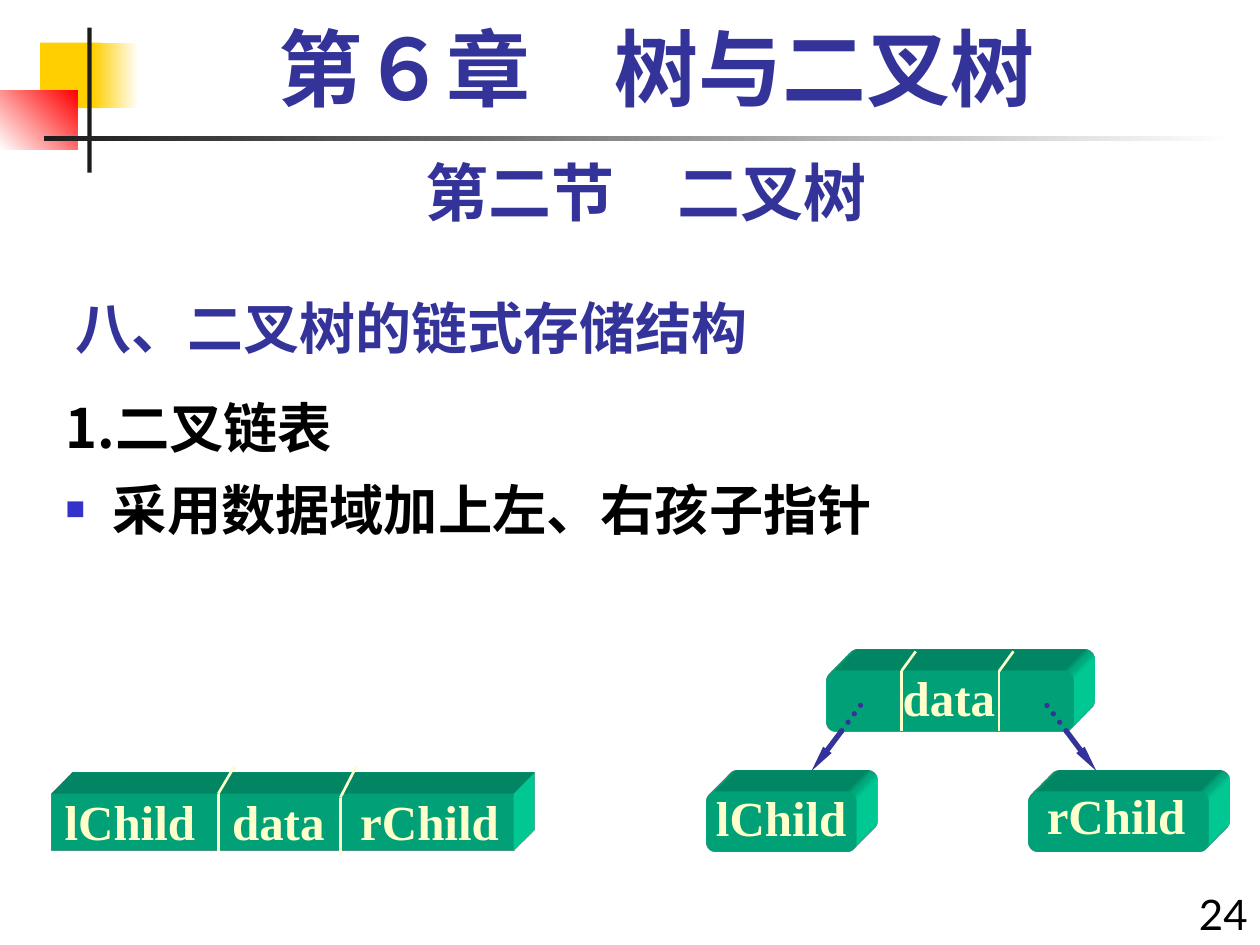
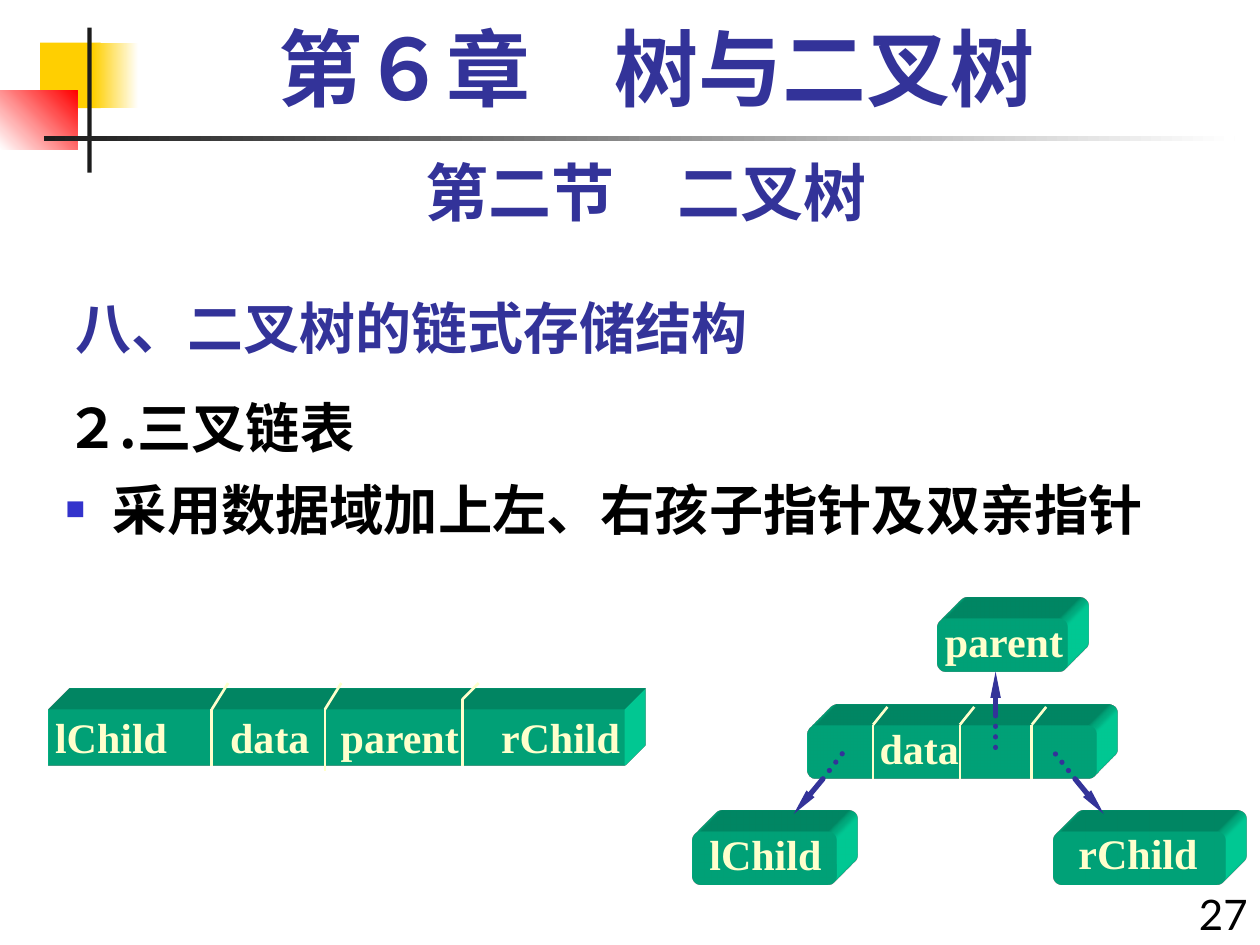
import pptx
import pptx.util
from lxml import etree
from pptx.dml.color import RGBColor
from pptx.enum.dml import MSO_LINE
from pptx.enum.shapes import MSO_CONNECTOR, MSO_SHAPE
from pptx.enum.text import MSO_ANCHOR, MSO_AUTO_SIZE, PP_ALIGN
from pptx.oxml.ns import qn
from pptx.util import Cm, Pt

# Colours
INDIGO = RGBColor(0x33, 0x33, 0x99)
BULLET_BLUE = RGBColor(0x33, 0x33, 0xCC)
YELLOW = RGBColor(0xFF, 0xCF, 0x01)
RED = RGBColor(0xFF, 0x00, 0x00)
CHARCOAL = RGBColor(0x1C, 0x1C, 0x1C)
BLACK = RGBColor(0x00, 0x00, 0x00)
WHITE = RGBColor(0xFF, 0xFF, 0xFF)
CREAM = RGBColor(0xFF, 0xFF, 0xCC)
GREEN = RGBColor(0x00, 0xE4, 0xA8)

# Fonts
HEADING_FONT = "Noto Sans CJK SC"
SECTION_FONT = "Lato"
SERIF_FONT = "Times New Roman"

EXTRUSION = Cm(1.2)

# Wording on both slides
CHAPTER = "第６章　树与二叉树"
SECTION = "第二节　二叉树"
TOPIC = "八、二叉树的链式存储结构"


def add_child(parent, tag, **attributes):
    child = etree.SubElement(parent, qn(tag))
    for key, value in attributes.items():
        child.set(key, str(value))
    return child


def add_run(paragraph, text, size, font, colour, bold=True):
    run = paragraph.add_run()
    run.text = text
    run.font.size = Pt(size)
    run.font.name = font
    run.font.bold = bold
    run.font.color.rgb = colour
    east_asian = SECTION_FONT if font == SERIF_FONT else font
    add_child(run.font._element, "a:ea", typeface=east_asian)


def add_text(slide, box, text, size, font, colour, align, bold=True):
    textbox = slide.shapes.add_textbox(*map(Cm, box))
    textbox.text_frame.word_wrap = True
    paragraph = textbox.text_frame.paragraphs[0]
    paragraph.alignment = align
    add_run(paragraph, text, size, font, colour, bold)
    return paragraph


def add_label(slide, text, centre, size):
    """Block label centred on a point."""
    width, height = 4, 1.2
    x, y = centre
    label = slide.shapes.add_textbox(
        Cm(x - width / 2), Cm(y - height / 2), Cm(width), Cm(height))
    frame = label.text_frame
    frame.word_wrap = False
    frame.vertical_anchor = MSO_ANCHOR.MIDDLE
    paragraph = frame.paragraphs[0]
    paragraph.alignment = PP_ALIGN.CENTER
    add_run(paragraph, text, size, SERIF_FONT, CREAM)


def paint(shape, colour):
    shape.shadow.inherit = False
    shape.fill.solid()
    shape.fill.fore_color.rgb = colour
    shape.line.fill.background()


def add_band(slide, box, colour, end_colour=None, angle=0):
    band = slide.shapes.add_shape(MSO_SHAPE.RECTANGLE, *map(Cm, box))
    paint(band, colour)
    if end_colour is not None:
        band.fill.gradient()
        band.fill.gradient_angle = angle
        for stop, stop_colour in zip(band.fill.gradient_stops, (colour, end_colour)):
            stop.color.rgb = stop_colour


def add_line(slide, start, end, colour, width, dotted=False, arrow=False):
    line = slide.shapes.add_connector(
        MSO_CONNECTOR.STRAIGHT, *map(Cm, (*start, *end)))
    line.line.color.rgb = colour
    line.line.width = Pt(width)
    outline = line.line._get_or_add_ln()
    if dotted:
        line.line.dash_style = MSO_LINE.ROUND_DOT
        outline.set("cap", "rnd")
    if arrow:
        add_child(outline, "a:tailEnd", type="triangle", w="sm", len="lg")
    add_child(line._element.spPr, "a:effectLst")


def add_block(slide, box, kind=MSO_SHAPE.ROUNDED_RECTANGLE):
    """Solid block, extruded towards the top right."""
    block = slide.shapes.add_shape(kind, *map(Cm, box))
    paint(block, GREEN)
    properties = block._element.spPr
    scene = add_child(properties, "a:scene3d")
    add_child(scene, "a:camera", prst="legacyObliqueTopRight")
    add_child(scene, "a:lightRig", rig="legacyFlat3", dir="b")
    solid = add_child(properties, "a:sp3d", extrusionH=int(EXTRUSION),
                      prstMaterial="legacyMatte")
    for bevel in ("a:bevelT", "a:bevelB"):
        add_child(solid, bevel, w=13500, h=13500, prst="angle")
    add_child(add_child(solid, "a:extrusionClr"), "a:srgbClr", val=GREEN)


def add_divider(slide, x, bend, bottom, back_top, lean):
    """Field boundary: up the front face, then slanting over the top."""
    add_line(slide, (x, bottom), (x, bend), CREAM, 1.5)
    add_line(slide, (x, bend), (x + lean, back_top), CREAM, 1.5)


def add_pointer(slide, inside, edge, tip):
    """Dotted inside the node, solid with an arrowhead outside."""
    add_line(slide, edge, tip, INDIGO, 3, arrow=True)
    add_line(slide, edge, inside, INDIGO, 3, dotted=True)


def add_ornaments(slide):
    add_band(slide, (0.81, 0.86, 1.22, 1.32), YELLOW)
    add_band(slide, (1.88, 0.86, 0.91, 1.32), YELLOW, WHITE)
    add_band(slide, (0, 1.83, 1.56, 1.18), WHITE, RED, 45)
    add_band(slide, (1.76, 0.56, 0.09, 2.92), CHARCOAL)
    add_band(slide, (0.89, 2.75, 24, 0.09), CHARCOAL, WHITE)


def place(placeholder, box):
    placeholder.left, placeholder.top, placeholder.width, placeholder.height = map(Cm, box)
    placeholder.text_frame.auto_size = MSO_AUTO_SIZE.NONE
    return placeholder.text_frame


def add_bullet(paragraph):
    properties = paragraph._p.get_or_add_pPr()
    add_child(add_child(properties, "a:buClr"), "a:srgbClr", val=BULLET_BLUE)
    add_child(properties, "a:buSzPct", val=60000)
    add_child(properties, "a:buChar", char="■")


def start_slide(deck, heading, description, page):
    """Everything both slides share, plus the two list lines."""
    slide = deck.slides.add_slide(deck.slide_layouts[1])
    add_ornaments(slide)

    topic = place(slide.shapes.title, (1.27, 5.5, 15.88, 1.9))
    topic.vertical_anchor = MSO_ANCHOR.BOTTOM
    topic.paragraphs[0].alignment = PP_ALIGN.LEFT
    add_run(topic.paragraphs[0], TOPIC, 32, HEADING_FONT, INDIGO)

    body = place(slide.placeholders[1], (1.07, 7.83, 24.33, 11.22))
    body.vertical_anchor = MSO_ANCHOR.TOP
    lines = [body.paragraphs[0], body.add_paragraph()]
    for line, text in zip(lines, (heading, description)):
        line.space_before = Pt(9.3)
        properties = line._p.get_or_add_pPr()
        properties.set("marL", str(int(Cm(0.95))))
        properties.set("indent", str(int(Cm(-0.95))))
        add_run(line, text, 31, HEADING_FONT, BLACK)
    add_child(lines[0]._p.get_or_add_pPr(), "a:buNone")
    add_bullet(lines[1])

    add_text(slide, (1.27, 2.97, 23.5, 1.78), SECTION, 36,
             SECTION_FONT, INDIGO, PP_ALIGN.CENTER)
    chapter = add_text(slide, (1.7, 0.43, 23.06, 2.11), CHAPTER, 48,
                       SERIF_FONT, INDIGO, PP_ALIGN.CENTER)
    chapter.line_spacing = 0.9
    add_text(slide, (23.7, 17.78, 1.7, 1.27), page, 24,
             SECTION_FONT, BLACK, PP_ALIGN.RIGHT, bold=False)
    return slide


def add_record(slide, box, fields, label_y, size, dividers, back_top):
    """Node layout as one strip of named fields."""
    add_block(slide, box, MSO_SHAPE.RECTANGLE)
    for name, x in fields:
        add_label(slide, name, (x, label_y), size)
    for divider in dividers:
        add_divider(slide, *divider, back_top, 0.33)


def add_tree(slide, blocks, labels, size, dividers, pointers):
    """Node with its pointers to the linked nodes."""
    for block in blocks:
        add_block(slide, block)
    for name, centre in labels:
        add_label(slide, name, centre, size)
    xs, bend, bottom, back_top = dividers
    for x in xs:
        add_divider(slide, x, bend, bottom, back_top, 0.29)
    for pointer in pointers:
        add_pointer(slide, *pointer)


def main():
    deck = pptx.Presentation()
    deck.slide_width, deck.slide_height = Cm(25.4), Cm(19.05)

    # Binary linked list
    binary = start_slide(deck, "1.二叉链表", "采用数据域加上左、右孩子指针", "24")
    add_tree(
        binary,
        [(16.66, 13.53, 4.98, 1.21), (20.73, 15.95, 3.63, 1.21),
         (14.25, 15.95, 3.02, 1.21)],
        [("data", (19.13, 14.05)), ("lChild", (15.75, 16.47)),
         ("rChild", (22.5, 16.42))],
        28,
        ((18.17, 20.14), 13.53, 14.73, 13.13),
        [((17.42, 14.12), (16.97, 14.73), (16.36, 15.54)),
         ((21.03, 14.12), (21.49, 14.73), (22.1, 15.54))])
    add_record(
        binary, (1.04, 16, 9.32, 1.14),
        [("lChild", 2.62), ("data", 5.61), ("rChild", 8.66)], 16.55, 28,
        [(4.4, 16, 17.15), (6.86, 16.08, 17.25)], 15.44)

    # Ternary linked list
    ternary = start_slide(
        deck, "２.三叉链表", "采用数据域加上左、右孩子指针及双亲指针", "27")
    add_record(
        ternary, (0.97, 14.3, 11.63, 1.14),
        [("lChild", 2.24), ("data", 5.44), ("parent", 8.06), ("rChild", 11.3)],
        14.86, 24,
        [(4.27, 14.3, 15.44), (6.55, 14.3, 15.54), (9.32, 14.1, 15.44)], 13.77)
    add_tree(
        ternary,
        [(18.9, 12.47, 2.62, 1.07), (16.28, 14.62, 5.82, 1.07),
         (21.23, 16.76, 3.48, 1.07), (13.97, 16.76, 2.9, 1.07)],
        [("parent", (20.24, 12.91)), ("data", (18.53, 15.08)),
         ("lChild", (15.43, 17.21)), ("rChild", (22.94, 17.19))],
        24,
        ((17.6, 19.35, 20.8), 14.61, 15.7, 14.25),
        [((20.07, 15.14), (20.07, 14.43), (20.07, 13.54)),
         ((17.02, 15.14), (16.59, 15.7), (16, 16.41)),
         ((21.23, 15.14), (21.67, 15.7), (22.25, 16.41))])

    deck.save("out.pptx")


if __name__ == "__main__":
    main()
